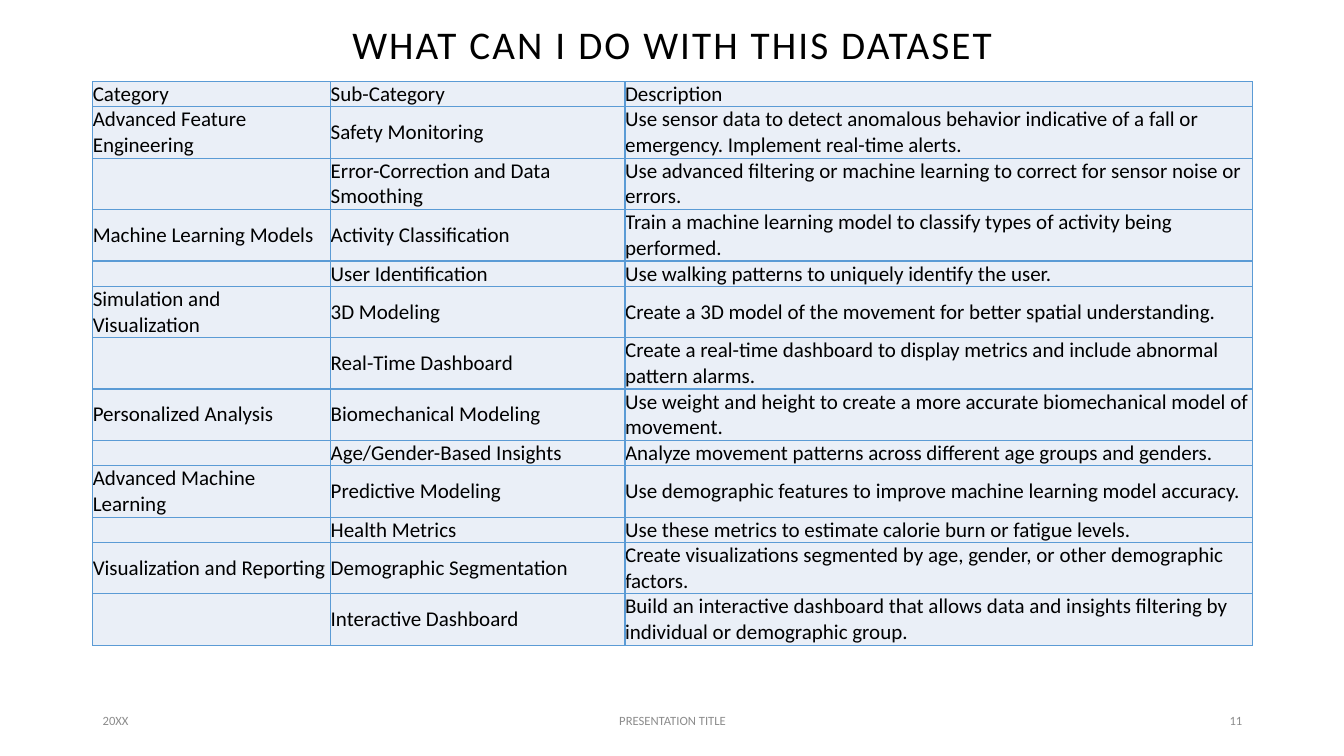
from dataclasses import dataclass

from lxml import etree
from pptx import Presentation
from pptx.dml.color import RGBColor
from pptx.enum.text import MSO_ANCHOR, PP_ALIGN
from pptx.oxml.ns import qn
from pptx.util import Inches, Pt

LEFT, CENTER, RIGHT = PP_ALIGN.LEFT, PP_ALIGN.CENTER, PP_ALIGN.RIGHT
MIDDLE, BOTTOM = MSO_ANCHOR.MIDDLE, MSO_ANCHOR.BOTTOM

FONT = "Calibri"
BLACK, GRAY, PALE, BLUE = "000000", "8C8C8C", "EAEFF7", "5B9BD5"
SIZE = 15
COLS = (2.36, 2.92, 6.22)
ONE, TWO = 0.25, 0.51  # heights of one-line and two-line rows


@dataclass
class Label:
    text: str
    left: float
    top: float
    width: float
    height: float
    align: PP_ALIGN
    anchor: MSO_ANCHOR = MIDDLE
    size: float = 9
    color: str = GRAY
    track: int = 0  # letter spacing in hundredths of a point
    lead: float = 1.0


@dataclass
class Row:
    height: float
    group: str
    topic: str
    detail: str


LABELS = [
    Label("WHAT CAN I DO WITH THIS DATASET", 0.92, 0.15, 11.5, 0.57,
          CENTER, BOTTOM, 28, BLACK, 150, 0.9),
    Label("20XX", 0.92, 6.95, 3, 0.4, LEFT),
    Label("PRESENTATION TITLE", 4.42, 6.95, 4.5, 0.4, CENTER),
    Label("11", 9.42, 6.95, 3, 0.4, RIGHT),
]

ROWS = [
    Row(ONE, "Category", "Sub-Category", "Description"),
    Row(TWO, "Advanced Feature Engineering", "Safety Monitoring",
        "Use sensor data to detect anomalous behavior indicative of a fall or "
        "emergency. Implement real-time alerts."),
    Row(TWO, "", "Error-Correction and Data Smoothing",
        "Use advanced filtering or machine learning to correct for sensor "
        "noise or errors."),
    Row(TWO, "Machine Learning Models", "Activity Classification",
        "Train a machine learning model to classify types of activity being "
        "performed."),
    Row(ONE, "", "User Identification",
        "Use walking patterns to uniquely identify the user."),
    Row(TWO, "Simulation and Visualization", "3D Modeling",
        "Create a 3D model of the movement for better spatial understanding."),
    Row(TWO, "", "Real-Time Dashboard",
        "Create a real-time dashboard to display metrics and include abnormal "
        "pattern alarms."),
    Row(TWO, "Personalized Analysis", "Biomechanical Modeling",
        "Use weight and height to create a more accurate biomechanical model "
        "of movement."),
    Row(ONE, "", "Age/Gender-Based Insights",
        "Analyze movement patterns across different age groups and genders."),
    Row(TWO, "Advanced Machine Learning", "Predictive Modeling",
        "Use demographic features to improve machine learning model accuracy."),
    Row(ONE, "", "Health Metrics",
        "Use these metrics to estimate calorie burn or fatigue levels."),
    Row(TWO, "Visualization and Reporting", "Demographic Segmentation",
        "Create visualizations segmented by age, gender, or other demographic "
        "factors."),
    Row(TWO, "", "Interactive Dashboard",
        "Build an interactive dashboard that allows data and insights "
        "filtering by individual or demographic group."),
]


def paint(code: str) -> RGBColor:
    return RGBColor.from_string(code)


def add_run(para, text: str, size: float, color: str):
    run = para.add_run()
    run.text = text
    run.font.name = FONT
    run.font.size = Pt(size)
    run.font.color.rgb = paint(color)
    return run


def add_label(slide, item: Label) -> None:
    box = slide.shapes.add_textbox(Inches(item.left), Inches(item.top),
                                   Inches(item.width), Inches(item.height))
    frame = box.text_frame
    frame.word_wrap = True
    frame.vertical_anchor = item.anchor
    para = frame.paragraphs[0]
    para.alignment = item.align
    para.line_spacing = item.lead
    run = add_run(para, item.text, item.size, item.color)
    if item.track:
        run.font._element.set("spc", str(item.track))


def add_edges(cell) -> None:
    """Outline a cell; borders must come before its fill."""
    props = cell._tc.get_or_add_tcPr()
    for spot, side in enumerate(("lnL", "lnR", "lnT", "lnB")):
        line = etree.Element(qn(f"a:{side}"), w=str(Pt(1)))
        fill = etree.SubElement(line, qn("a:solidFill"))
        etree.SubElement(fill, qn("a:srgbClr"), val=BLUE)
        props.insert(spot, line)


def fill_cell(cell, text: str, anchor: MSO_ANCHOR) -> None:
    cell.margin_left = cell.margin_right = 0
    cell.margin_top = cell.margin_bottom = 0
    cell.vertical_anchor = anchor
    cell.fill.solid()
    cell.fill.fore_color.rgb = paint(PALE)
    add_edges(cell)
    para = cell.text_frame.paragraphs[0]
    if text:
        add_run(para, text, SIZE, BLACK)
    else:  # keep empty cells from stretching the row
        etree.SubElement(para._p, qn("a:endParaRPr"), sz=str(SIZE * 100))


def add_grid(slide) -> None:
    high = sum(row.height for row in ROWS)
    grid = slide.shapes.add_table(len(ROWS), len(COLS), Inches(0.92),
                                  Inches(0.81), Inches(sum(COLS)),
                                  Inches(high)).table
    grid.first_row = grid.horz_banding = False
    for col, width in zip(grid.columns, COLS):
        col.width = Inches(width)
    for r, row in enumerate(ROWS):
        grid.rows[r].height = Inches(row.height)
        for c, text in enumerate((row.group, row.topic, row.detail)):
            fill_cell(grid.cell(r, c), text, MIDDLE if r else BOTTOM)


def main() -> None:
    deck = Presentation()
    deck.slide_width, deck.slide_height = Inches(13.33), Inches(7.5)
    slide = deck.slides.add_slide(deck.slide_layouts[6])
    # Title and footer
    for item in LABELS:
        add_label(slide, item)
    # Table of ideas
    add_grid(slide)
    deck.save("out.pptx")


if __name__ == "__main__":
    main()
